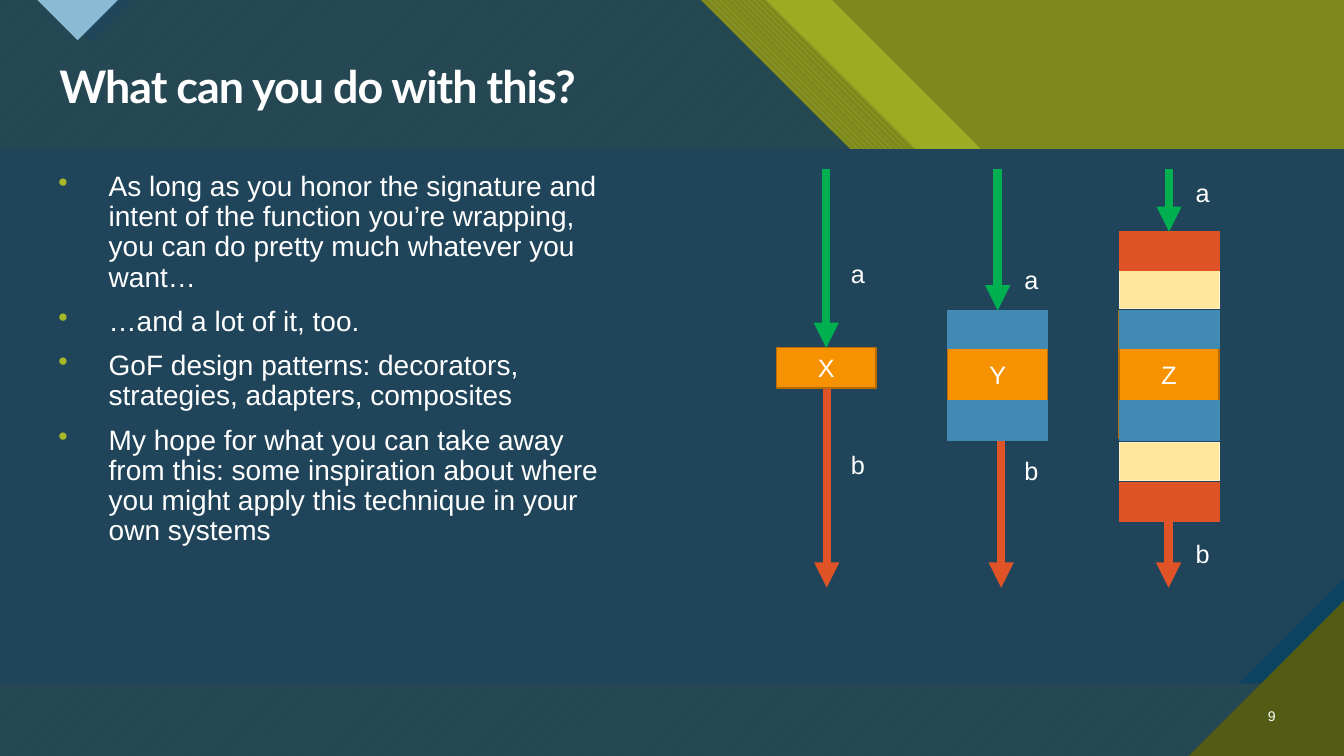
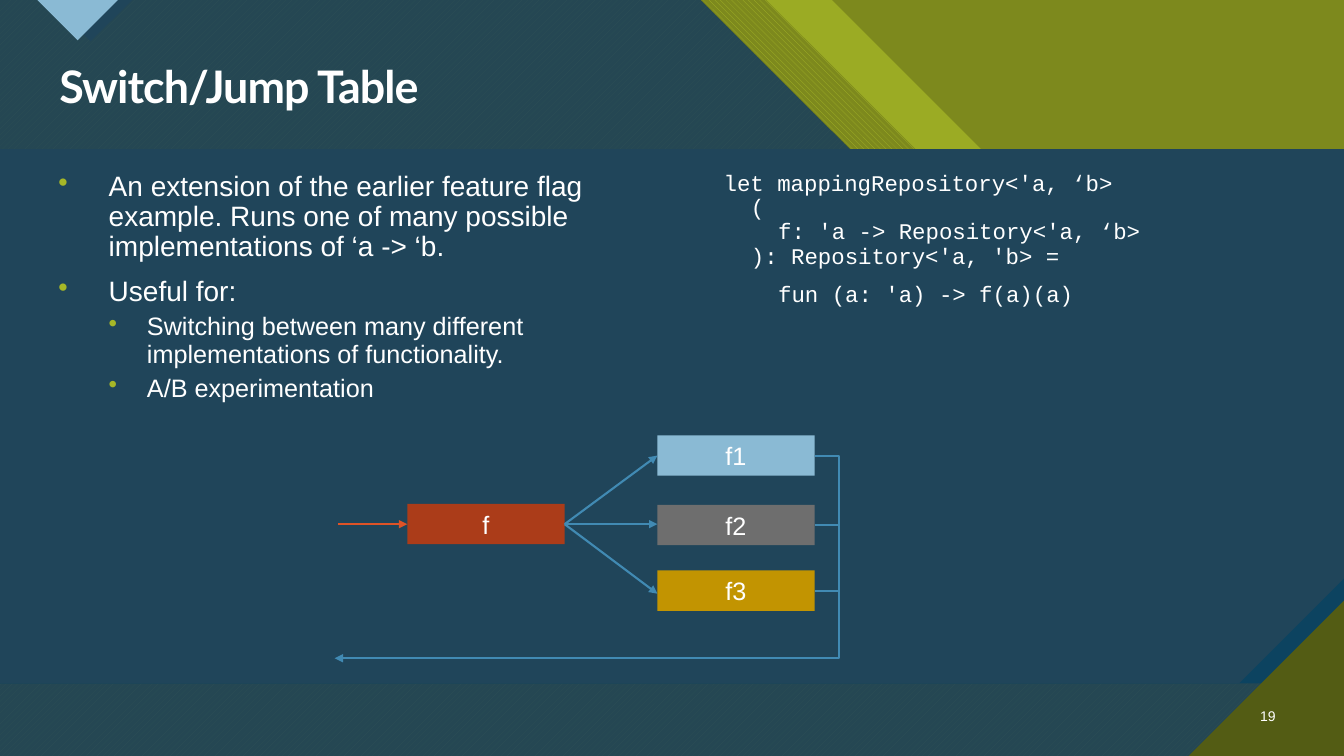
from lxml import etree
from pptx import Presentation
from pptx import util as u
from pptx.dml.color import RGBColor
from pptx.enum import dml, shapes, text
from pptx.oxml.ns import qn

WHITE = RGBColor(0xFF, 0xFF, 0xFF)
NAVY = RGBColor(0x20, 0x45, 0x5A)
DEEP = RGBColor(0x0C, 0x43, 0x60)
LIME = RGBColor(0xA6, 0xB7, 0x27)
OLIVE = RGBColor(0x7D, 0x89, 0x1D)
MOSS = RGBColor(0x53, 0x5C, 0x14)
SKY = RGBColor(0x8A, 0xBA, 0xD4)
BLUE = RGBColor(0x41, 0x8A, 0xB3)
RED = RGBColor(0xDF, 0x53, 0x27)
BRICK = RGBColor(0xAB, 0x3C, 0x19)
GREEN = RGBColor(0x00, 0xB0, 0x50)
AMBER = RGBColor(0xF6, 0x92, 0x00)
BROWN = RGBColor(0xB6, 0x6C, 0x00)
CREAM = RGBColor(0xFF, 0xE7, 0x9B)
PALE = RGBColor(0xFF, 0xF3, 0xCD)
GREY = RGBColor(0x6E, 0x6E, 0x6E)
GOLD = RGBColor(0xC2, 0x94, 0x01)

WIDE, HIGH = 13.33, 7.5
TOP, BASE = 1.48, 6.78  # content panel
LEFT, CENTER, RIGHT = text.PP_ALIGN.LEFT, text.PP_ALIGN.CENTER, text.PP_ALIGN.RIGHT
DOWN = dml.MSO_PATTERN.WIDE_DOWNWARD_DIAGONAL
UP = dml.MSO_PATTERN.WIDE_UPWARD_DIAGONAL


class Deck:
    sans, head, mono = "Arial", "Lato", "Courier New"

    def __init__(self):
        self.prs = Presentation()
        self.prs.slide_width = u.Inches(WIDE)
        self.prs.slide_height = u.Inches(HIGH)

    def page(self, title, number):
        slide = self.prs.slides.add_slide(self.prs.slide_layouts[6])
        self.shapes = slide.shapes
        self.frame()
        run = self.label(title, 0.49, 0.59, 12.26, 0.59, 32, self.head)
        run.font.bold = True
        run.font._element.set("spc", "-70")
        self.label(number, 12.31, 6.91, 0.44, 0.4, 10, align=RIGHT)

    def frame(self):
        """Diagonal bands, content panel and corner marks."""
        self.box(0, 0, WIDE, HIGH, OLIVE)
        self.band(8.25, LIME, alpha=74)
        self.band(7.6, LIME, OLIVE, DOWN)
        self.band(6.95, LIME, MOSS, UP)
        self.band(6.95, NAVY, alpha=90)
        self.poly([(0.48, 0), (1.31, 0), (0.9, 0.41)], NAVY)
        self.poly([(0.37, 0), (1.17, 0), (0.77, 0.4)], SKY)
        self.box(0, TOP, WIDE, BASE - TOP, DEEP)
        cut = 1.04
        self.poly([(0, TOP), (WIDE, TOP), (WIDE, BASE - cut),
                   (WIDE - cut, BASE), (0, BASE)], NAVY)
        side = 1.54
        self.poly([(WIDE - side, HIGH), (WIDE, HIGH), (WIDE, HIGH - side)], MOSS)

    def band(self, edge, color, back=None, pattern=None, alpha=None):
        """Area left of a 45 degree edge that starts at the top."""
        self.poly([(0, 0), (edge, 0), (edge + 2.97, 2.97), (WIDE, 2.97),
                   (WIDE, HIGH), (0, HIGH)], color, back, pattern, alpha)

    def poly(self, points, color, back=None, pattern=None, alpha=None):
        dots = [(u.Inches(x), u.Inches(y)) for x, y in points]
        form = self.shapes.build_freeform(*dots[0])
        form.add_line_segments(dots[1:])
        self.paint(form.convert_to_shape(), color, back, pattern, alpha)

    def paint(self, shape, color, back=None, pattern=None, alpha=None):
        shape.shadow.inherit = False
        shape.line.fill.background()
        if pattern:
            shape.fill.patterned()
            shape.fill.pattern = pattern
            shape.fill.fore_color.rgb = color
            shape.fill.back_color.rgb = back
        else:
            shape.fill.solid()
            shape.fill.fore_color.rgb = color
        if alpha:
            tone = shape._element.spPr.find(".//" + qn("a:srgbClr"))
            etree.SubElement(tone, qn("a:alpha"), val=str(alpha * 1000))

    def style(self, run, size, font=None):
        run.font.size = u.Pt(size)
        run.font.name = font or self.sans
        run.font.color.rgb = WHITE

    def box(self, x, y, w, h, color, words="", edge=None, weight=0.5):
        shape = self.shapes.add_shape(shapes.MSO_SHAPE.RECTANGLE, u.Inches(x),
                                      u.Inches(y), u.Inches(w), u.Inches(h))
        self.paint(shape, color)
        if edge:
            shape.line.color.rgb = edge
            shape.line.width = u.Pt(weight)
        if words:
            frame = shape.text_frame
            frame.text = words
            frame.vertical_anchor = text.MSO_ANCHOR.MIDDLE
            frame.paragraphs[0].alignment = CENTER
            self.style(frame.paragraphs[0].runs[0], 18)

    def field(self, x, y, w, h):
        area = self.shapes.add_textbox(u.Inches(x), u.Inches(y),
                                       u.Inches(w), u.Inches(h))
        area.text_frame.word_wrap = True
        return area.text_frame

    def label(self, words, x, y, w, h, size, font=None, align=LEFT):
        frame = self.field(x, y, w, h)
        frame.text = words
        frame.vertical_anchor = text.MSO_ANCHOR.MIDDLE
        para = frame.paragraphs[0]
        para.alignment = align
        para.line_spacing = 0.9
        self.style(para.runs[0], size, font)
        return para.runs[0]

    def tag(self, words, x, y):
        frame = self.field(x, y, 0.2, 0.4)
        frame.margin_left = frame.margin_right = 0
        frame.text = words
        self.style(frame.paragraphs[0].runs[0], 18)

    def rows(self, x, lines):
        """Yield a paragraph and its level for each (level, words)."""
        frame = self.field(x, 1.66, 5.67, 5.1)
        frame.text = "\n".join(words for _, words in lines)
        for para, (level, _) in zip(frame.paragraphs, lines):
            para.line_spacing = 0.9
            yield para, level

    def indent(self, para, left, hang=0):
        props = para._p.get_or_add_pPr()
        props.set("marL", str(u.Inches(left)))
        props.set("indent", str(-u.Inches(hang)))
        return props

    def bullets(self, lines):
        for para, level in self.rows(0.48, lines):
            left, hang, before, size = [(0.5, 0.5, 10, 20), (0.88, 0.38, 5, 18)][level]
            para.level = level
            para.space_before = u.Pt(before)
            props = self.indent(para, left, hang)
            tone = etree.SubElement(props, qn("a:buClr"))
            etree.SubElement(tone, qn("a:srgbClr"), val=str(LIME))
            etree.SubElement(props, qn("a:buChar"), char="•")
            self.style(para.runs[0], size)

    def code(self, lines, gaps):
        for spot, (para, level) in enumerate(self.rows(7.08, lines)):
            para.space_before = u.Pt(10 if spot in gaps else 0)
            self.indent(para, level * 0.27)
            self.style(para.runs[0], 16, self.mono)

    def line(self, x1, y1, x2, y2, color, weight=1.5, arrow=True, bend=None):
        kind = shapes.MSO_CONNECTOR.STRAIGHT if bend is None else shapes.MSO_CONNECTOR.ELBOW
        link = self.shapes.add_connector(kind, u.Inches(x1), u.Inches(y1),
                                         u.Inches(x2), u.Inches(y2))
        link.line.color.rgb = color
        link.line.width = u.Pt(weight)
        props = link._element.spPr
        if arrow:
            etree.SubElement(props.find(qn("a:ln")), qn("a:tailEnd"), type="triangle")
        if bend is not None:
            guides = props.find(".//" + qn("a:avLst"))
            etree.SubElement(guides, qn("a:gd"), name="adj1",
                             fmla=f"val {round(bend * 100000)}")
        etree.SubElement(props, qn("a:effectLst"))


def wraps(deck):
    deck.page("What can you do with this?", "9")
    deck.bullets([
        (0, "As long as you honor the signature and intent of the function "
            "you’re wrapping, you can do pretty much whatever you want…"),
        (0, "…and a lot of it, too."),
        (0, "GoF design patterns: decorators, strategies, adapters, composites"),
        (0, "My hope for what you can take away from this: some inspiration "
            "about where you might apply this technique in your own systems"),
    ])

    # Wrapper layers: top, height, fill, edge
    inner = [(3.08, 0.38, BLUE, BLUE), (3.97, 0.4, BLUE, BLUE)]
    outer = [(2.68, 0.38, CREAM, PALE), (4.39, 0.38, CREAM, PALE),
             (2.3, 0.38, RED, RED), (4.79, 0.38, RED, RED)]

    # Stacks: name, core top and height, arrow end and start, exit x,
    # tag x, tag tops, layers
    stacks = [
        ("X", 3.45, 0.4, 3.45, 3.86, 8.2, 8.44, 2.51, 4.41, []),
        ("Y", 3.08, 1.27, 3.08, 4.35, 9.93, 10.16, 2.57, 4.47, inner),
        ("Z", 3.08, 1.27, 2.3, 5.17, 11.59, 11.86, 1.71, 5.29, inner + outer),
    ]
    wide = 0.99
    for spot, stack in enumerate(stacks):
        name, top, high, end, start, out, side, ya, yb, layers = stack
        x = 7.7 + 1.7 * spot
        mid = x + wide / 2
        deck.box(x, top, wide, high, AMBER, name, BROWN, 1)
        deck.line(mid, 1.68, mid, end, GREEN, 6)
        deck.line(out, start, out, 5.83, RED, 6)
        deck.tag("a", side, ya)
        deck.tag("b", side, yb)
        for y, h, fill, edge in layers:
            deck.box(x, y, wide, h, fill, edge=edge)


def switch(deck):
    deck.page("Switch/Jump Table", "19")
    deck.bullets([
        (0, "An extension of the earlier feature flag example. Runs one of "
            "many possible implementations of ‘a -> ‘b."),
        (0, "Useful for:"),
        (1, "Switching between many different implementations of functionality."),
        (1, "A/B experimentation"),
    ])
    deck.code([
        (0, "let mappingRepository<'a, ‘b>"),
        (1, "("),
        (2, "f: 'a -> Repository<'a, ‘b>"),
        (1, "): Repository<'a, 'b> ="),
        (2, "fun (a: 'a) -> f(a)(a)"),
    ], gaps=(0, 4))

    # Flow: one call fans out to three targets
    wide, high = 1.56, 0.4
    call, goal, mid = 4.04, 6.52, 5.2
    end, bus = goal + wide, 8.33
    deck.box(call, 5, wide, high, BRICK, "f")
    deck.line(3.35, mid, call, mid, RED)
    targets = [("f1", 4.32, 4.52, SKY), ("f2", 5.01, mid, GREY),
               ("f3", 5.66, 5.89, GOLD)]
    for name, top, tip, fill in targets:
        deck.line(call + wide, mid, goal, tip, BLUE)
        deck.box(goal, top, wide, high, fill, name)

    # Shared return line
    deck.line(end, 4.52, 3.32, 6.53, BLUE, bend=-0.05)
    for _, top, _, _ in targets[1:]:
        deck.line(end, top + high / 2, bus, top + high / 2, BLUE, arrow=False)


def main():
    deck = Deck()
    wraps(deck)
    switch(deck)
    deck.prs.save("out.pptx")


if __name__ == "__main__":
    main()
